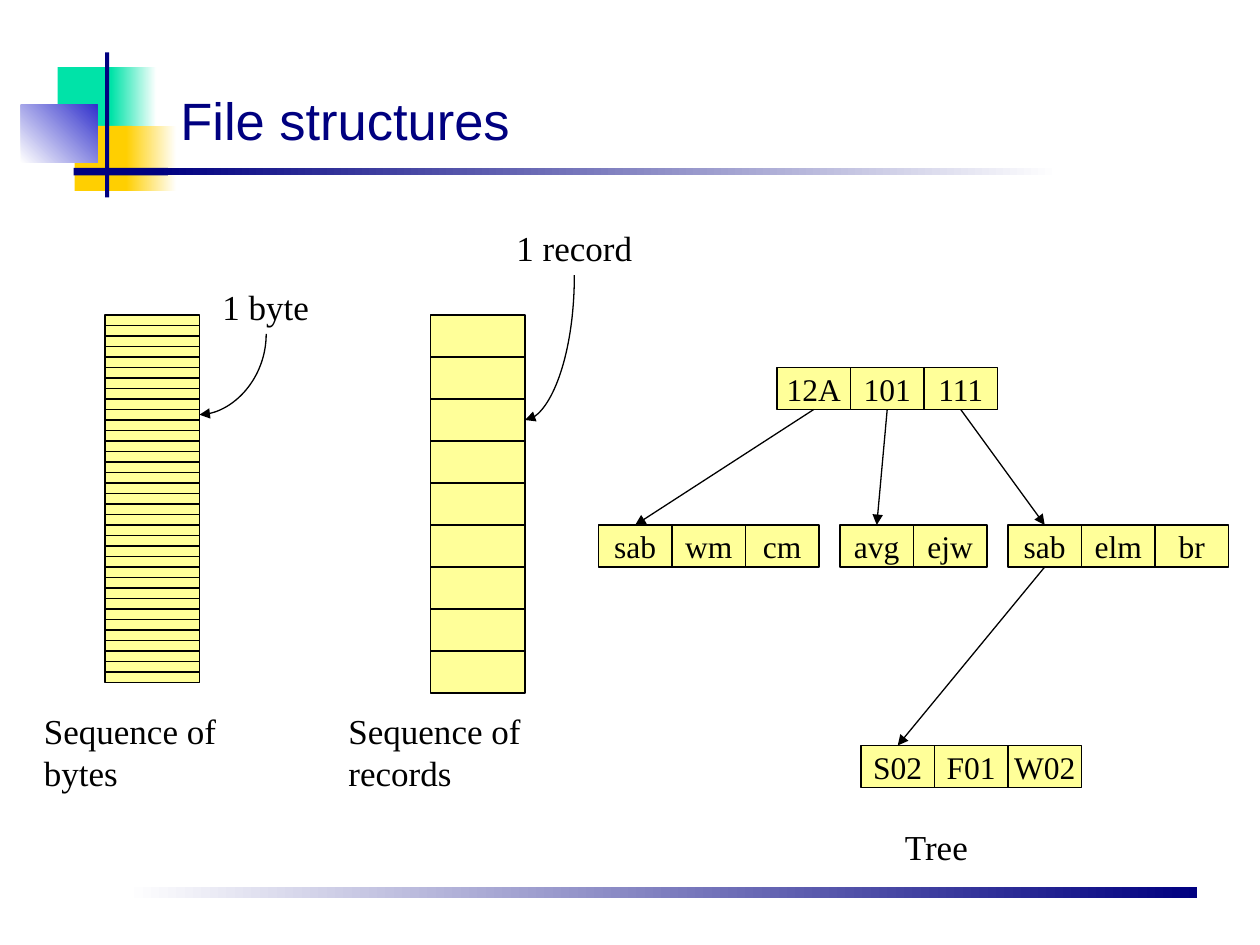
from typing import NamedTuple, Optional

from lxml.etree import SubElement
from pptx import Presentation
from pptx.dml.color import RGBColor
from pptx.enum.shapes import MSO_CONNECTOR, MSO_SHAPE
from pptx.enum.text import MSO_ANCHOR, MSO_AUTO_SIZE, PP_ALIGN
from pptx.oxml.ns import qn
from pptx.shapes.autoshape import Shape
from pptx.util import Emu, Pt

PX = 7620  # EMU per px, 120 px to the inch
COLORS = {
    "white": "FFFFFF", "black": "000000", "navy": "000080", "green": "00E3A8",
    "gold": "FFCF01", "blue": "3333CC", "cell": "FFFF99",
}
CELL_W, CELL_H = 70, 40
BOTTOM, TOP, RIGHT = 2, 0, 3  # connection sites of a rectangle


class Box(NamedTuple):
    x: int
    y: int
    w: int
    h: int


class Band(NamedTuple):
    box: Box
    color: str
    end: Optional[str] = None  # second colour of a gradient
    angle: int = 0


class Label(NamedTuple):
    text: str
    box: Box


class Node(NamedTuple):
    x: int
    y: int
    keys: tuple[str, ...]


BANDS = [
    Band(Box(120, 845, 1020, 10), "white", "navy"),
    Band(Box(55, 64, 58, 62), "green"),
    Band(Box(106, 64, 43, 62), "green", "white"),
    Band(Box(71, 120, 55, 62), "gold"),
    Band(Box(120, 120, 48, 62), "gold", "white"),
    Band(Box(20, 100, 73, 55), "white", "blue", 45),
    Band(Box(100, 50, 4, 138), "navy"),
    Band(Box(70, 160, 90, 7), "navy"),
    Band(Box(150, 160, 859, 7), "navy", "white"),
]
LABELS = [
    Label("Sequence of bytes", Box(30, 670, 266, 52)),
    Label("Sequence of records", Box(320, 670, 294, 52)),
    Label("1 byte", Box(200, 266, 107, 52)),
    Label("1 record", Box(480, 210, 134, 52)),
    Label("Tree", Box(850, 780, 85, 52)),
]
NODES = {
    "root": Node(740, 350, ("12A", "101", "111")),
    "left": Node(570, 500, ("sab", "wm", "cm")),
    "middle": Node(800, 500, ("avg", "ejw")),
    "right": Node(960, 500, ("sab", "elm", "br")),
    "leaf": Node(820, 710, ("S02", "F01", "W02")),
}
# parent node, key position in it, child node
BRANCHES = [("root", 0, "left"), ("root", 1, "middle"), ("root", 2, "right"), ("right", 0, "leaf")]


def rgb(name: str) -> RGBColor:
    return RGBColor.from_string(COLORS[name])


def emu(box: Box) -> list[Emu]:
    return [Emu(v * PX) for v in box]


def write(sp: Shape, text: str, size: int, font: str = "Times New Roman", color: str = "black") -> None:
    r = sp.text_frame.paragraphs[0].add_run()
    r.text = text
    r.font.size, r.font.name = Pt(size), font
    r.font.color.rgb = rgb(color)


def add_rect(box: Box) -> Shape:
    sp = s.shapes.add_shape(MSO_SHAPE.RECTANGLE, *emu(box))
    sp.shadow.inherit = False
    return sp


def add_band(band: Band) -> None:
    sp = add_rect(band.box)
    sp.line.fill.background()
    if band.end:
        sp.fill.gradient()
        sp.fill.gradient_angle = band.angle
        for stop, color in zip(sp.fill.gradient_stops, (band.color, band.end)):
            stop.color.rgb = rgb(color)
    else:
        sp.fill.solid()
        sp.fill.fore_color.rgb = rgb(band.color)


def add_cell(box: Box, text: str = "") -> Shape:
    sp = add_rect(box)
    sp.fill.solid()
    sp.fill.fore_color.rgb = rgb("cell")
    sp.line.color.rgb = rgb("black")
    sp.line.width = Pt(0.75)
    if text:
        tf = sp.text_frame
        tf.word_wrap = False
        tf.vertical_anchor = MSO_ANCHOR.MIDDLE
        tf.paragraphs[0].alignment = PP_ALIGN.CENTER
        write(sp, text, 18)
    return sp


def add_stack(x: int, y: int, h: int, count: int) -> list[Shape]:
    return [add_cell(Box(x, y + i * h, 90, h)) for i in range(count)]


def add_node(node: Node) -> list[Shape]:
    return [add_cell(Box(node.x + i * CELL_W, node.y, CELL_W, CELL_H), key)
            for i, key in enumerate(node.keys)]


def add_label(label: Label) -> Shape:
    sp = s.shapes.add_textbox(*emu(label.box))
    sp.text_frame.word_wrap = False
    sp.text_frame.auto_size = MSO_AUTO_SIZE.SHAPE_TO_FIT_TEXT
    write(sp, label.text, 20)
    return sp


def add_arrow(start: Shape, end: Shape, end_site: int, curved: bool = False) -> None:
    kind = MSO_CONNECTOR.CURVE if curved else MSO_CONNECTOR.STRAIGHT
    cx = s.shapes.add_connector(kind, 0, 0, 0, 0)
    cx.begin_connect(start, BOTTOM)
    cx.end_connect(end, end_site)
    cx.line.color.rgb = rgb("black")
    cx.line.width = Pt(0.75)
    sp_pr = cx.element.spPr
    SubElement(cx.line._get_or_add_ln(), qn("a:tailEnd"), type="triangle")
    SubElement(sp_pr, qn("a:effectLst"))
    if curved:
        # a quarter bend turned by 90 degrees leaves downwards and arrives leftwards
        mid_x, mid_y = cx.left + cx.width // 2, cx.top + cx.height // 2
        cx.width, cx.height = cx.height, cx.width
        cx.left, cx.top = mid_x - cx.width // 2, mid_y - cx.height // 2
        xfrm = sp_pr.find(qn("a:xfrm"))
        xfrm.attrib.clear()
        xfrm.set("rot", "5400000")
        sp_pr.find(qn("a:prstGeom")).set("prst", "curvedConnector2")


prs = Presentation()
prs.slide_width, prs.slide_height = Emu(1200 * PX), Emu(900 * PX)
s = prs.slides.add_slide(prs.slide_layouts[6])

# Decoration and title
for band in BANDS:
    add_band(band)
title = s.shapes.add_textbox(*emu(Box(160, 70, 1020, 80)))
title.text_frame.word_wrap = True
title.text_frame.vertical_anchor = MSO_ANCHOR.BOTTOM
write(title, "File structures", 30, "Arial", "navy")

# Byte and record sequences
byte_cells = add_stack(100, 300, 10, 35)
record_cells = add_stack(410, 300, 40, 9)
labels = {label.text: add_label(label) for label in LABELS}
add_arrow(labels["1 byte"], byte_cells[9], RIGHT, curved=True)
add_arrow(labels["1 record"], record_cells[2], RIGHT, curved=True)

# Tree
tree = {name: add_node(node) for name, node in NODES.items()}
for parent, key, child in BRANCHES:
    add_arrow(tree[parent][key], tree[child][0], TOP)

prs.save("out.pptx")
